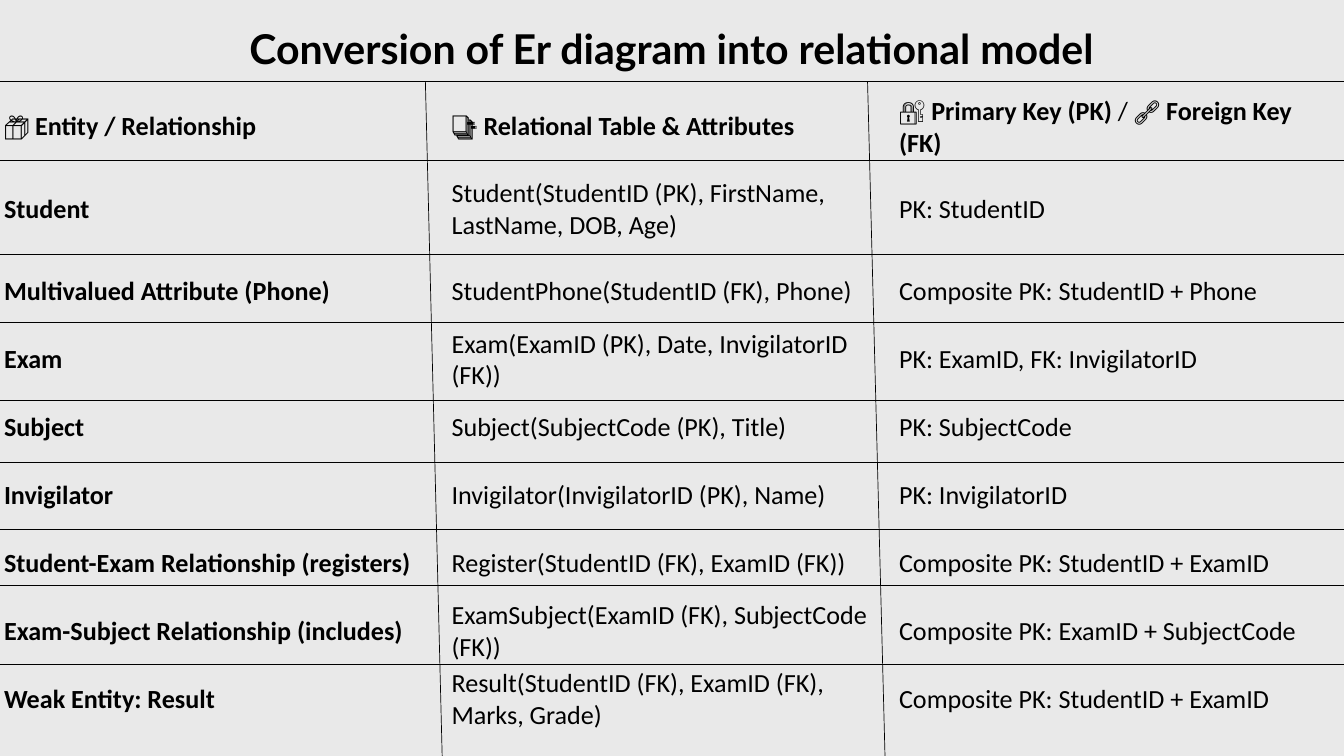
"""Build a slide that maps ER entities to relational tables and keys."""
import lxml.etree
import pptx
import pptx.dml.color
import pptx.enum.shapes
import pptx.enum.text
import pptx.oxml.ns
import pptx.util

Inches, Pt = pptx.util.Inches, pptx.util.Pt
qn = pptx.oxml.ns.qn

THEME = {
    "background": pptx.dml.color.RGBColor.from_string("E9E9E9"),
    "ink": pptx.dml.color.RGBColor.from_string("000000"),
    "title_font": "Lato",
    "body_font": "Calibri",
    "title_size": Pt(44),
    "body_size": Pt(28),
    "title_spacing": Pt(100.8),
    "rule_width": Pt(0.75),
    "table_style": "{2D5ABB26-0587-4C30-8999-92F81FD0307C}",
}

TITLE = "Conversion of Er diagram into relational model"
HEADER = [
    [("📦 ", False), ("Entity / Relationship", True)],
    [("📑 ", False), ("Relational Table & Attributes", True)],
    [("🔐 ", False), ("Primary Key (PK)", True), (" / 🔗 ", False), ("Foreign Key (FK)", True)],
]
MAPPINGS = [
    ("Student", "Student(StudentID (PK), FirstName, LastName, DOB, Age)", "PK: StudentID"),
    ("Multivalued Attribute (Phone)", "StudentPhone(StudentID (FK), Phone)",
     "Composite PK: StudentID + Phone"),
    ("Exam", "Exam(ExamID (PK), Date, InvigilatorID (FK))", "PK: ExamID, FK: InvigilatorID"),
    ("Subject", "Subject(SubjectCode (PK), Title)", "PK: SubjectCode"),
    ("Invigilator", "Invigilator(InvigilatorID (PK), Name)", "PK: InvigilatorID"),
    ("Student-Exam Relationship (registers)", "Register(StudentID (FK), ExamID (FK))",
     "Composite PK: StudentID + ExamID"),
    ("Exam-Subject Relationship (includes)", "ExamSubject(ExamID (FK), SubjectCode (FK))",
     "Composite PK: ExamID + SubjectCode"),
    ("Weak Entity: Result", "Result(StudentID (FK), ExamID (FK), Marks, Grade)",
     "Composite PK: StudentID + ExamID"),
]

SLIDE_W, SLIDE_H = 20, 11.25
TABLE_LEFT, TABLE_TOP, COLUMN_W = -0.01, 1.38, 6.66
ROW_H, STUDENT_ROW_H = 1.01, 1.44
ROW_RULES = [1.21, 2.38, 3.79, 4.79, 5.96, 6.88, 7.88, 8.71, 9.88]
COLUMN_RULES = [(6.33, 6.58), (12.91, 13.17)]


def style_run(r, font, size, bold):
    r.font.name, r.font.size, r.font.bold = font, size, bold
    r.font.color.rgb = THEME["ink"]


def add_title(s):
    tf = s.shapes.add_textbox(Inches(0), Inches(-0.32), Inches(SLIDE_W), Inches(1.22)).text_frame
    tf.word_wrap = True
    tf.margin_left = tf.margin_right = tf.margin_top = tf.margin_bottom = 0
    tf.text = TITLE
    p = tf.paragraphs[0]
    p.alignment = pptx.enum.text.PP_ALIGN.CENTER
    p.line_spacing = THEME["title_spacing"]
    style_run(p.runs[0], THEME["title_font"], THEME["title_size"], True)


def fill_cell(cell, runs):
    cell.fill.background()
    cell.vertical_anchor = pptx.enum.text.MSO_ANCHOR.MIDDLE
    cell.margin_left = cell.margin_right = Inches(0.07)
    cell.margin_top = cell.margin_bottom = Inches(0.04)
    p = cell.text_frame.paragraphs[0]
    for text, bold in runs:
        r = p.add_run()
        r.text = text
        style_run(r, THEME["body_font"], THEME["body_size"], bold)


def add_mapping_table(s):
    body = [[[(text, column == 0)] for column, text in enumerate(row)] for row in MAPPINGS]
    rows = [HEADER] + body
    heights = [STUDENT_ROW_H if i == 1 else ROW_H for i in range(len(rows))]
    frame = s.shapes.add_table(len(rows), len(HEADER), Inches(TABLE_LEFT), Inches(TABLE_TOP),
                               Inches(COLUMN_W * len(HEADER)), Inches(sum(heights)))
    table = frame.table
    table.first_row = table.horz_banding = False
    frame._element.find(".//" + qn("a:tableStyleId")).text = THEME["table_style"]
    for column in table.columns:
        column.width = Inches(COLUMN_W)
    for i, (row, height) in enumerate(zip(rows, heights)):
        table.rows[i].height = Inches(height)
        for j, runs in enumerate(row):
            fill_cell(table.cell(i, j), runs)


def add_rule(s, x1, y1, x2, y2):
    rule = s.shapes.add_connector(pptx.enum.shapes.MSO_CONNECTOR.STRAIGHT,
                                  Inches(x1), Inches(y1), Inches(x2), Inches(y2))
    rule.line.color.rgb = THEME["ink"]
    rule.line.width = THEME["rule_width"]
    lxml.etree.SubElement(rule._element.spPr, qn("a:effectLst"))


def main():
    prs = pptx.Presentation()
    prs.slide_width, prs.slide_height = Inches(SLIDE_W), Inches(SLIDE_H)
    s = prs.slides.add_slide(prs.slide_layouts[6])
    s.background.fill.solid()
    s.background.fill.fore_color.rgb = THEME["background"]
    add_title(s)
    add_mapping_table(s)
    for y in ROW_RULES:
        add_rule(s, 0, y, SLIDE_W, y)
    for top_x, bottom_x in COLUMN_RULES:
        add_rule(s, top_x, ROW_RULES[0], bottom_x, SLIDE_H)
    prs.save("out.pptx")


if __name__ == "__main__":
    main()
